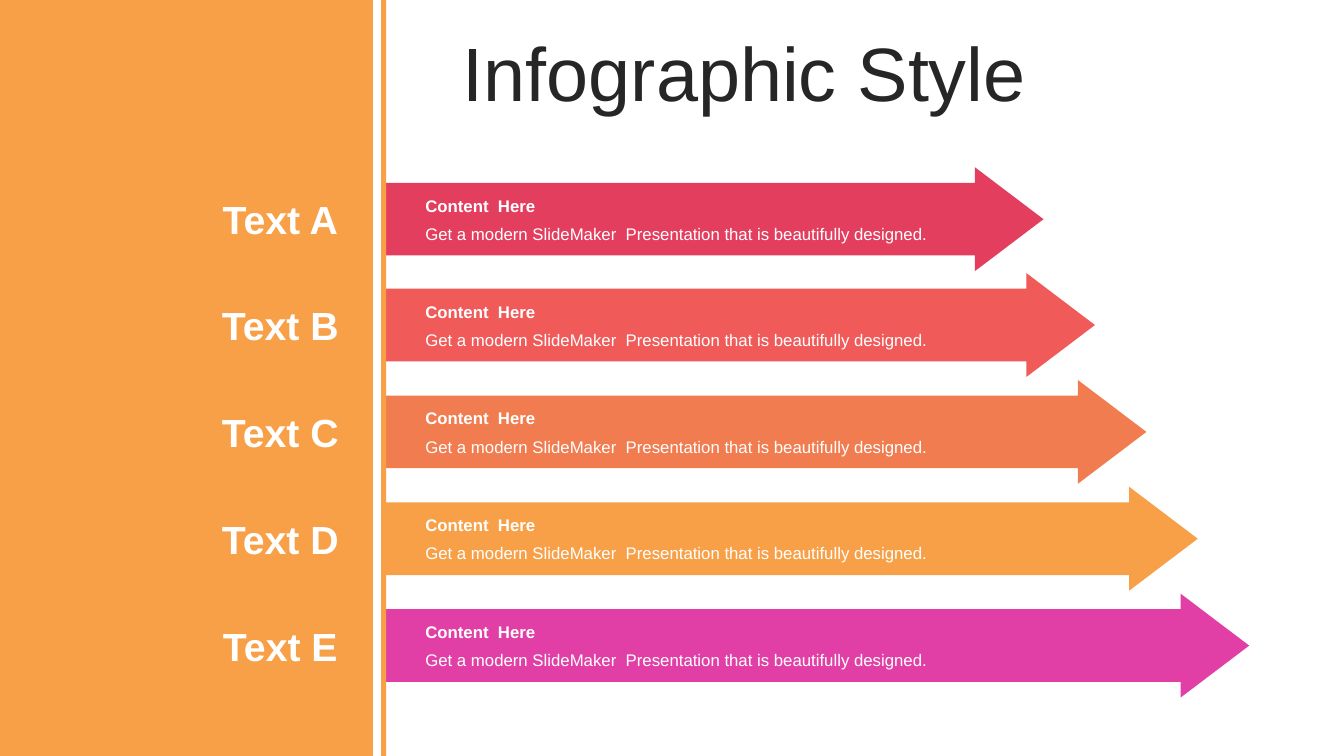
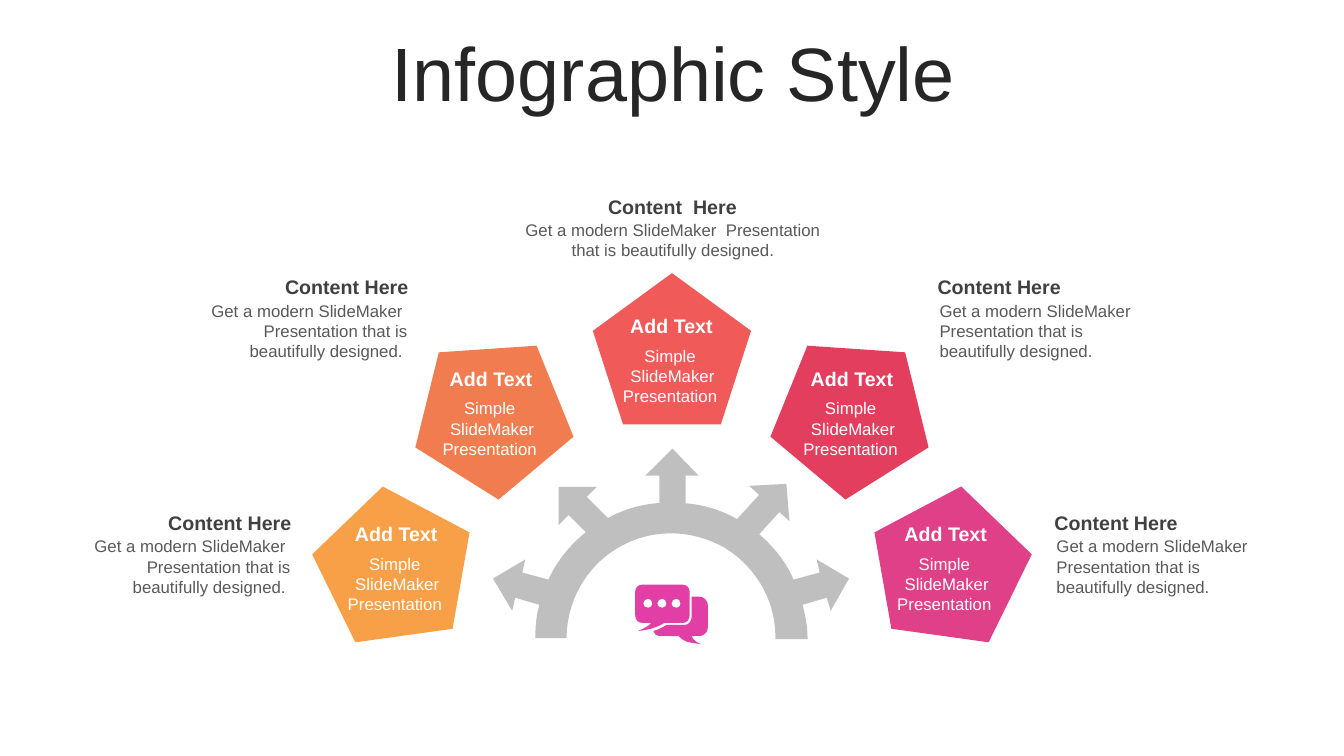
"""Build a two-slide infographic deck with arrow bands and a pentagon arch."""
from lxml import etree
from pptx import Presentation
from pptx.dml.color import RGBColor
from pptx.enum.shapes import MSO_SHAPE
from pptx.enum.text import MSO_ANCHOR, MSO_AUTO_SIZE, PP_ALIGN
from pptx.oxml.ns import qn
from pptx.util import Pt

PX = 9144
FONT = "Arial"
WHITE = RGBColor(0xFF, 0xFF, 0xFF)
INK = RGBColor(0x26, 0x26, 0x26)
HEADING = RGBColor(0x40, 0x40, 0x40)
BODY = RGBColor(0x59, 0x59, 0x59)
GRAY = RGBColor(0xBF, 0xBF, 0xBF)
CRIMSON = RGBColor(0xE4, 0x3E, 0x5F)
CORAL = RGBColor(0xF0, 0x5A, 0x59)
ORANGE = RGBColor(0xF0, 0x7C, 0x4F)
AMBER = RGBColor(0xF8, 0xA0, 0x47)
MAGENTA = RGBColor(0xE2, 0x3F, 0xA6)
PINK = RGBColor(0xE0, 0x40, 0x88)

SENTENCE = "Get a modern SlideMaker  Presentation that is beautifully designed."
SEGMENTS = {"M": "a:moveTo", "L": "a:lnTo", "C": "a:cubicBezTo"}

ARCH = [
    "M667,445 L693,472 L680,472 L680,499 L676,499 C695,500,714,505,731,515 "
    "L753,491 L743,482 L780,480 L783,517 L773,508 L753,530 "
    "C768,543,780,558,787,575 L813,568 L810,555 L842,574 L824,606 L820,593 "
    "L796,600 C799,611,801,622,801,634 L769,634 C770,597,750,562,718,543 "
    "C686,525,646,524,614,543 C582,561,562,596,562,633 L531,633 "
    "C531,621,532,610,535,600 L511,593 L508,606 L489,574 L521,555 L518,568 "
    "L544,575 C552,557,565,541,581,528 L564,511 L554,521 L554,483 L592,483 "
    "L582,493 L603,514 C619,505,637,500,655,499 L654,499 L654,472 L640,472"
]
BUBBLES = [
    "M686,592 L694,592 C698,592,702,596,702,600 L702,623 "
    "C702,627,698,631,694,631 L686,631 C687,633,687,635,695,639 "
    "C681,637,679,637,673,631 L654,631 C651,631,649,629,648,626 "
    "C652,625,656,623,661,620 L679,620 C683,620,686,616,686,612",
    "M637,580 L677,580 C681,580,684,583,684,587 L684,610 "
    "C684,615,681,618,677,618 L659,618 C650,623,647,624,633,626 "
    "C641,622,642,622,646,618 L637,618 C633,618,630,615,630,610 L630,587 "
    "C630,583,633,580,637,580",
]
DOTS = [
    f"M{x},594 C{x - 3},594,{x - 5},596,{x - 5},599 C{x - 5},601,{x - 3},603,{x},603 "
    f"C{x + 2},603,{x + 4},601,{x + 4},599 C{x + 4},596,{x + 2},594,{x},594"
    for x in (671, 657, 643)
]


def format_text(frame, text, size=12, color=WHITE, bold=False,
                align=PP_ALIGN.LEFT, anchor=MSO_ANCHOR.TOP, spacing=None):
    """Fill a text frame, one paragraph a line, in one format."""
    frame.word_wrap = True
    frame.vertical_anchor = anchor
    frame.text = text
    for para in frame.paragraphs:
        para.alignment = align
        para.line_spacing = spacing
        para.space_before = Pt(0)
        for span in para.runs:
            span.font.name = FONT
            span.font.size = Pt(size)
            span.font.bold = bold
            span.font.color.rgb = color


def add_text(page, text, left, top, width, height, **style):
    """Add a text box that grows with its text."""
    box = page.shapes.add_textbox(left * PX, top * PX, width * PX, height * PX)
    format_text(box.text_frame, text, **style)
    box.text_frame.auto_size = MSO_AUTO_SIZE.SHAPE_TO_FIT_TEXT


def paint(shape, color):
    """Give a shape a flat fill with no line or shadow."""
    shape.shadow.inherit = False
    shape.fill.solid()
    shape.fill.fore_color.rgb = color
    shape.line.fill.background()


def add_block(page, kind, left, top, width, height, color, rotation=0):
    """Add a flat preset shape."""
    shape = page.shapes.add_shape(kind, left * PX, top * PX, width * PX, height * PX)
    paint(shape, color)
    shape.rotation = rotation
    return shape


def read_path(path):
    """Split a path into segment letters with their points."""
    segments = []
    for token in path.split():
        numbers = [int(number) for number in token[1:].split(",")]
        segments.append((token[0], list(zip(numbers[::2], numbers[1::2]))))
    return segments


def add_outline(page, paths, color):
    """Add one freeform whose closed contours keep true curves."""
    contours = [read_path(path) for path in paths]
    ends = [points[-1] for contour in contours for _, points in contour]
    left, top = (min(values) for values in zip(*ends))
    builder = page.shapes.build_freeform(*ends[0], scale=PX)
    builder.add_line_segments(ends[1:], close=True)
    shape = builder.convert_to_shape()
    paint(shape, color)
    outline = next(shape.element.iter(qn("a:path")))
    for child in list(outline):
        outline.remove(child)
    for contour in contours:
        for letter, points in contour:
            segment = etree.SubElement(outline, qn(SEGMENTS[letter]))
            for x, y in points:
                etree.SubElement(segment, qn("a:pt"), x=str(x - left), y=str(y - top))
        etree.SubElement(outline, qn("a:close"))


def add_page(deck, left, width, align):
    """Add a title-only slide with the shared title style."""
    page = deck.slides.add_slide(deck.slide_layouts[5])
    title = page.shapes.title
    title.left, title.top = left * PX, 37 * PX
    title.width, title.height = width * PX, 79 * PX
    format_text(title.text_frame, "Infographic Style", size=54, color=INK,
                align=align, anchor=MSO_ANCHOR.MIDDLE, spacing=0.9)
    title.text_frame.auto_size = MSO_AUTO_SIZE.NONE
    return page


def add_note(page, heading, body, left, top, width, height, align):
    """Add a dark heading with a gray sentence below it."""
    add_text(page, body, left + 2, top + 25, width - 3, height, color=BODY, align=align)
    add_text(page, heading, left, top, width, 34, size=14, color=HEADING,
             bold=True, align=align)


def add_pentagon_text(page, left, top):
    """Add the upright heading and lines that lie on a pentagon."""
    add_text(page, "Add Text", left, top, 132, 34, size=14, bold=True,
             align=PP_ALIGN.CENTER)
    add_text(page, "Simple \nSlideMaker Presentation ", left + 1, top + 31,
             132, 71, align=PP_ALIGN.CENTER)


def build_arrows(deck):
    """Build the slide of five growing arrows."""
    page = add_page(deck, 449, 852, PP_ALIGN.LEFT)
    colors = (CRIMSON, CORAL, ORANGE, AMBER, MAGENTA)
    tops = [166 + 423 * index // 4 for index in range(len(colors))]
    for index, (top, color) in enumerate(zip(tops, colors)):
        arrow = add_block(page, MSO_SHAPE.RIGHT_ARROW, 382, top, 653 + 51 * index, 103, color)
        arrow.adjustments[0], arrow.adjustments[1] = 0.7, 0.66
    add_block(page, MSO_SHAPE.RECTANGLE, 0, 0, 370, 750, AMBER)
    add_block(page, MSO_SHAPE.RECTANGLE, 378, 0, 5, 752, AMBER)
    for letter, top in zip("ABCDE", tops):
        add_text(page, f"Text {letter}", 206, top + 23, 144, 57, size=28, bold=True,
                 align=PP_ALIGN.CENTER, anchor=MSO_ANCHOR.MIDDLE)
        add_text(page, SENTENCE, 412, top + 51, 563, 30)
        add_text(page, "Content  Here", 412, top + 23, 563, 30, bold=True)


def build_arch(deck):
    """Build the slide of five pentagons around an arch."""
    page = add_page(deck, 35, 1266, PP_ALIGN.CENTER)
    add_outline(page, ARCH, GRAY)
    for left, top, rotation, color in (
        (588, 271, 0, CORAL),
        (771, 332, 40, CRIMSON),
        (871, 488, 80, PINK),
        (405, 332, 320, ORANGE),
        (305, 488, 280, AMBER),
    ):
        add_block(page, MSO_SHAPE.REGULAR_PENTAGON, left, top, 157, 150, color, rotation)
    for top, left, right in ((268, 194, 920), (502, 78, 1036)):
        add_note(page, "Content Here", SENTENCE + " ", left, top, 221, 71, PP_ALIGN.RIGHT)
        add_note(page, "Content Here", SENTENCE, right, top, 221, 71, PP_ALIGN.LEFT)
    add_note(page, "Content  Here", SENTENCE, 497, 188, 340, 50, PP_ALIGN.CENTER)
    for left, top in ((600, 307), (421, 359), (327, 513), (779, 359), (872, 513)):
        add_pentagon_text(page, left, top)
    add_outline(page, DOTS + BUBBLES, MAGENTA)


def main():
    """Build and save the deck."""
    deck = Presentation()
    deck.slide_width, deck.slide_height = 1333 * PX, 750 * PX
    build_arrows(deck)
    build_arch(deck)
    deck.save("out.pptx")


if __name__ == "__main__":
    main()
